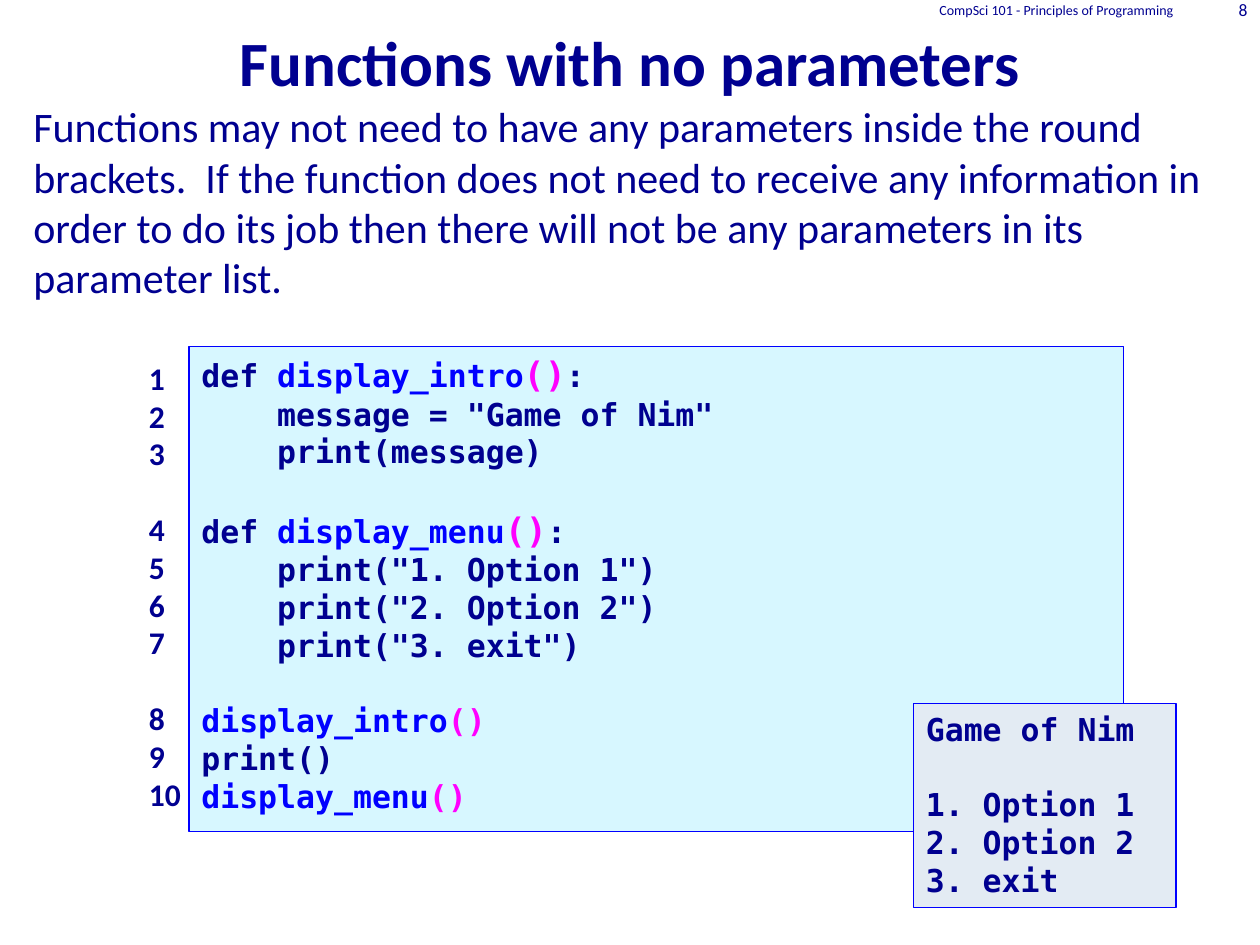
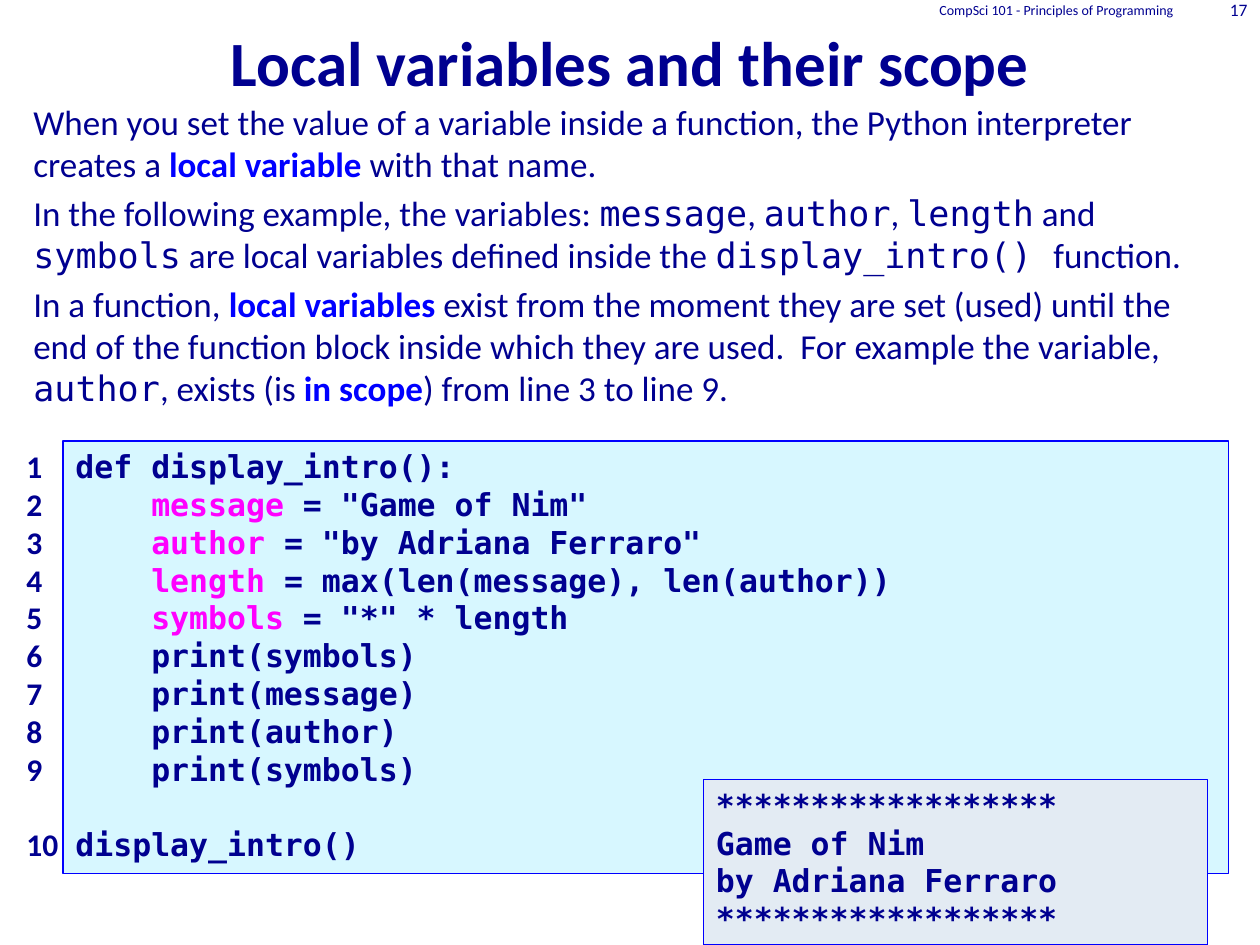
from itertools import count

from pptx import Presentation
from pptx.dml.color import RGBColor
from pptx.enum.shapes import MSO_SHAPE
from pptx.enum.text import MSO_ANCHOR, MSO_AUTO_SIZE, PP_ALIGN
from pptx.util import Pt

NAVY, BLUE, PINK = "000090", "0000FF", "FF00FF"
CODE_FILL, OUTPUT_FILL = "D7F7FF", "E3EBF3"
SANS, MONO = "Calibri", "DejaVu Sans Mono"
LINE_HEIGHT = 1.2

# Run formats that differ from the rest of their text
CALL = {"color": BLUE}
BRACKETS = {"color": PINK}
BIG_BRACKETS = {"color": PINK, "size": 20}
LOCAL = {"color": PINK}
TERM = {"color": BLUE, "bold": True}
NAME = {"font": MONO}


def write(frame, lines, size=18, font=SANS, color=NAVY, bold=False,
          align=PP_ALIGN.LEFT, anchor=MSO_ANCHOR.TOP, gap=0):
    """Write lines of plain strings or (text, format) runs; "" opens a one-line gap."""
    frame.word_wrap = True
    frame.auto_size = MSO_AUTO_SIZE.NONE
    frame.vertical_anchor = anchor
    paragraph, blank = None, 0
    for line in lines:
        if not line:
            blank = size * LINE_HEIGHT
            continue
        if paragraph is None:
            paragraph = frame.paragraphs[0]
        else:
            paragraph = frame.add_paragraph()
            paragraph.space_before = Pt(gap + blank)
        blank = 0
        paragraph.alignment = align
        tallest = size
        for part in [line] if isinstance(line, str) else line:
            text, style = (part, {}) if isinstance(part, str) else part
            run = paragraph.add_run()
            run.text = text
            run.font.size = Pt(style.get("size", size))
            run.font.name = style.get("font", font)
            run.font.bold = style.get("bold", bold)
            run.font.color.rgb = RGBColor.from_string(style.get("color", color))
            tallest = max(tallest, style.get("size", size))
        paragraph.line_spacing = Pt(round(tallest * LINE_HEIGHT, 1))


def add_box(slide, area, lines, fill=None, **text_format):
    left, top, width, height = map(Pt, area)
    if fill:
        box = slide.shapes.add_shape(MSO_SHAPE.RECTANGLE, left, top, width, height)
        box.shadow.inherit = False
        box.fill.solid()
        box.fill.fore_color.rgb = RGBColor.from_string(fill)
        box.line.color.rgb = RGBColor.from_string(BLUE)
        box.line.width = Pt(0.75)
    else:
        box = slide.shapes.add_textbox(left, top, width, height)
    write(box.text_frame, lines, **text_format)
    return box


lessons = [
    {
        "number": "8",
        "title": "Functions with no parameters",
        "body_size": 24,
        "body": [
            "Functions may not need to have any parameters inside the round brackets.  "
            "If the function does not need to receive any information in order to do its "
            "job then there will not be any parameters in its parameter list.",
        ],
        "code_area": (108, 198, 534, 277),
        "code": [
            ["def ", ("display_intro", CALL), ("()", BIG_BRACKETS), ":"],
            '    message = "Game of Nim"',
            "    print(message)",
            "",
            ["def ", ("display_menu", CALL), ("()", BIG_BRACKETS), ":"],
            '    print("1. Option 1")',
            '    print("2. Option 2")',
            '    print("3. exit")',
            "",
            [("display_intro", CALL), ("()", BRACKETS)],
            "print()",
            [("display_menu", CALL), ("()", BRACKETS)],
        ],
        "numbers_area": (78, 201.5, 120, 291),
        "output_area": (522, 402, 150, 116.5),
        "output": ["Game of Nim", "", "1. Option 1", "2. Option 2", "3. exit"],
    },
    {
        "number": "17",
        "title": "Local variables and their scope",
        "body_size": 20,
        "body": [
            ["When you set the value of a variable inside a function, the Python "
             "interpreter creates a ", ("local variable ", TERM), "with that name."],
            ["In the following example, the variables: ", ("message", NAME), ", ",
             ("author", NAME), ", ", ("length", NAME), " and ", ("symbols", NAME),
             " are local variables defined inside the ", ("display_intro() ", NAME),
             "function."],
            ["In a function, ", ("local variables ", TERM),
             "exist from the moment they are set (used) until the end of the function "
             "block inside which they are used.  For example the variable, ",
             ("author", NAME), ", exists (is ", ("in scope", TERM),
             ") from line 3 to line 9."],
        ],
        "code_area": (36, 252, 666, 247),
        "code": [
            "def display_intro():",
            [("    message", LOCAL), ' = "Game of Nim"'],
            [("    author", LOCAL), ' = "by Adriana Ferraro"'],
            [("    length", LOCAL), " = max(len(message), len(author))"],
            [("    symbols", LOCAL), ' = "*" * length'],
            "    print(symbols)",
            "    print(message)",
            "    print(author)",
            "    print(symbols)",
            "",
            "display_intro()",
        ],
        "numbers_area": (8, 252, 36, 247),
        "output_area": (402, 445.5, 288, 94.5),
        "output": ["*" * 18, "Game of Nim", "by Adriana Ferraro", "*" * 18],
    },
]

prs = Presentation()
prs.slide_width, prs.slide_height = Pt(720), Pt(540)
title_only = prs.slide_layouts[5]

for lesson in lessons:
    slide = prs.slides.add_slide(title_only)
    title = slide.shapes.title
    title.left, title.top, title.width, title.height = Pt(0), Pt(0), Pt(720), Pt(60)
    write(title.text_frame, [lesson["title"]], size=36, bold=True,
          align=PP_ALIGN.CENTER, anchor=MSO_ANCHOR.BOTTOM)

    body_size = lesson["body_size"]
    add_box(slide, (12, 54, 690, 369), lesson["body"], size=body_size,
            gap=body_size * 0.2)

    add_box(slide, lesson["code_area"], lesson["code"], fill=CODE_FILL,
            font=MONO, bold=True)
    line_number = count(1)
    numbers = [str(next(line_number)) if line else "" for line in lesson["code"]]
    add_box(slide, lesson["numbers_area"], numbers, bold=True)

    add_box(slide, lesson["output_area"], lesson["output"], fill=OUTPUT_FILL,
            font=MONO, bold=True)

    for left, width, text, size in [
        (462, 216, "CompSci 101 - Principles of Programming", 8),
        (678, 42, lesson["number"], 10),
    ]:
        header = add_box(slide, (left, -0.5, width, 12), [text], size=size,
                         align=PP_ALIGN.RIGHT, anchor=MSO_ANCHOR.MIDDLE)
        header.text_frame.margin_top = header.text_frame.margin_bottom = 0

prs.save("out.pptx")
